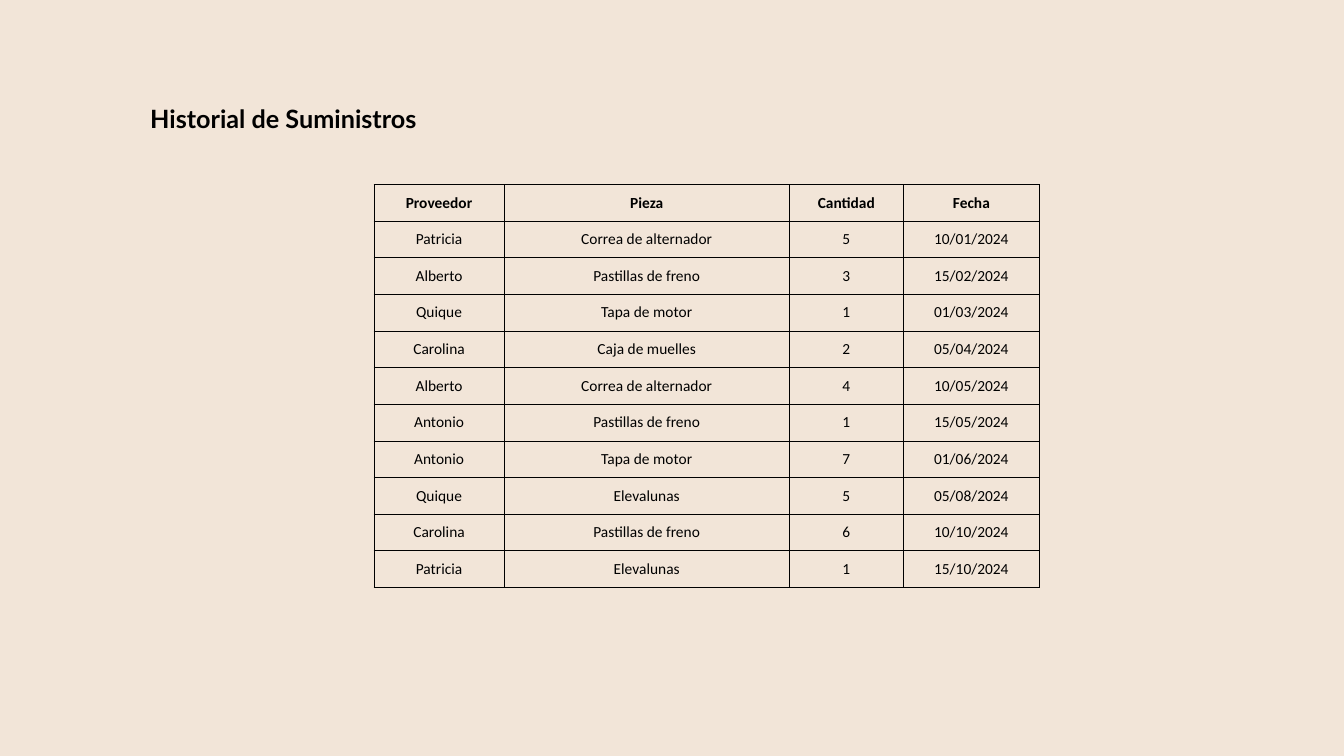
from typing import NamedTuple

from lxml.etree import SubElement
from pptx import Presentation
from pptx.dml.color import RGBColor
from pptx.enum.text import MSO_ANCHOR as Anchor, MSO_AUTO_SIZE as AutoSize, PP_ALIGN as Align
from pptx.oxml.ns import qn
from pptx.util import Inches, Pt

BLACK, SAND = "000000", "F2E5D8"


class Supply(NamedTuple):
    supplier: str
    part: str
    quantity: str
    date: str


HEADER = Supply("Proveedor", "Pieza", "Cantidad", "Fecha")
SUPPLIES = [
    Supply("Patricia", "Correa de alternador", "5", "10/01/2024"),
    Supply("Alberto", "Pastillas de freno", "3", "15/02/2024"),
    Supply("Quique", "Tapa de motor", "1", "01/03/2024"),
    Supply("Carolina", "Caja de muelles", "2", "05/04/2024"),
    Supply("Alberto", "Correa de alternador", "4", "10/05/2024"),
    Supply("Antonio", "Pastillas de freno", "1", "15/05/2024"),
    Supply("Antonio", "Tapa de motor", "7", "01/06/2024"),
    Supply("Quique", "Elevalunas", "5", "05/08/2024"),
    Supply("Carolina", "Pastillas de freno", "6", "10/10/2024"),
    Supply("Patricia", "Elevalunas", "1", "15/10/2024"),
]
COLUMN_WIDTHS = [1.29, 2.83, 1.13, 1.35]


def rgb(color: str) -> RGBColor:
    return RGBColor.from_string(color)


def set_margins(target, inches: float) -> None:
    target.margin_left = target.margin_right = Inches(inches)
    target.margin_top = target.margin_bottom = Inches(inches)


def style_text(p, font: str, size: float, bold: bool, align: Align) -> None:
    p.alignment = align
    for r in p.runs:
        r.font.name = font
        r.font.size = Pt(size)
        r.font.bold = bold
        r.font.color.rgb = rgb(BLACK)


def add_borders(cell, color: str, width: float) -> None:
    tc_pr = cell._tc.get_or_add_tcPr()
    for i, side in enumerate("LRTB"):
        ln = SubElement(tc_pr, qn(f"a:ln{side}"), w=str(Pt(width)))
        fill = SubElement(ln, qn("a:solidFill"))
        SubElement(fill, qn("a:srgbClr"), val=color)
        tc_pr.insert(i, ln)  # borders must come before the cell fill


def fill_cell(cell, text: str, bold: bool) -> None:
    cell.text_frame.text = text
    cell.vertical_anchor = Anchor.MIDDLE
    set_margins(cell, 0.01)
    style_text(cell.text_frame.paragraphs[0], "Calibri", 11, bold, Align.CENTER)
    cell.fill.background()
    add_borders(cell, BLACK, 0.5)


def add_supply_table(s, rows: list[Supply]) -> None:
    height = Inches(4)
    table = s.shapes.add_table(len(rows), len(COLUMN_WIDTHS), Inches(3.71), Inches(1.83),
                               Inches(sum(COLUMN_WIDTHS)), height).table
    table.first_row = table.horz_banding = False
    for column, width in zip(table.columns, COLUMN_WIDTHS):
        column.width = Inches(width)
    for i, supply in enumerate(rows):
        table.rows[i].height = height // len(rows)
        for j, text in enumerate(supply):
            fill_cell(table.cell(i, j), text, bold=i == 0)


def add_title(s, text: str) -> None:
    title = s.shapes.title
    title.left, title.top = Inches(1.44), Inches(0.97)
    title.width, title.height = Inches(2.88), Inches(0.71)
    tf = title.text_frame
    tf.text = text
    tf.word_wrap = True
    tf.auto_size = AutoSize.NONE
    tf.vertical_anchor = Anchor.TOP
    set_margins(tf, 0.05)
    style_text(tf.paragraphs[0], "Lato", 18, True, Align.LEFT)


def main() -> None:
    prs = Presentation()
    prs.slide_width, prs.slide_height = Inches(13.33), Inches(7.5)
    s = prs.slides.add_slide(prs.slide_layouts[5])

    # Background
    s.background.fill.solid()
    s.background.fill.fore_color.rgb = rgb(SAND)

    # Title and supply history
    add_title(s, "Historial de Suministros")
    add_supply_table(s, [HEADER, *SUPPLIES])

    prs.save("out.pptx")


if __name__ == "__main__":
    main()
